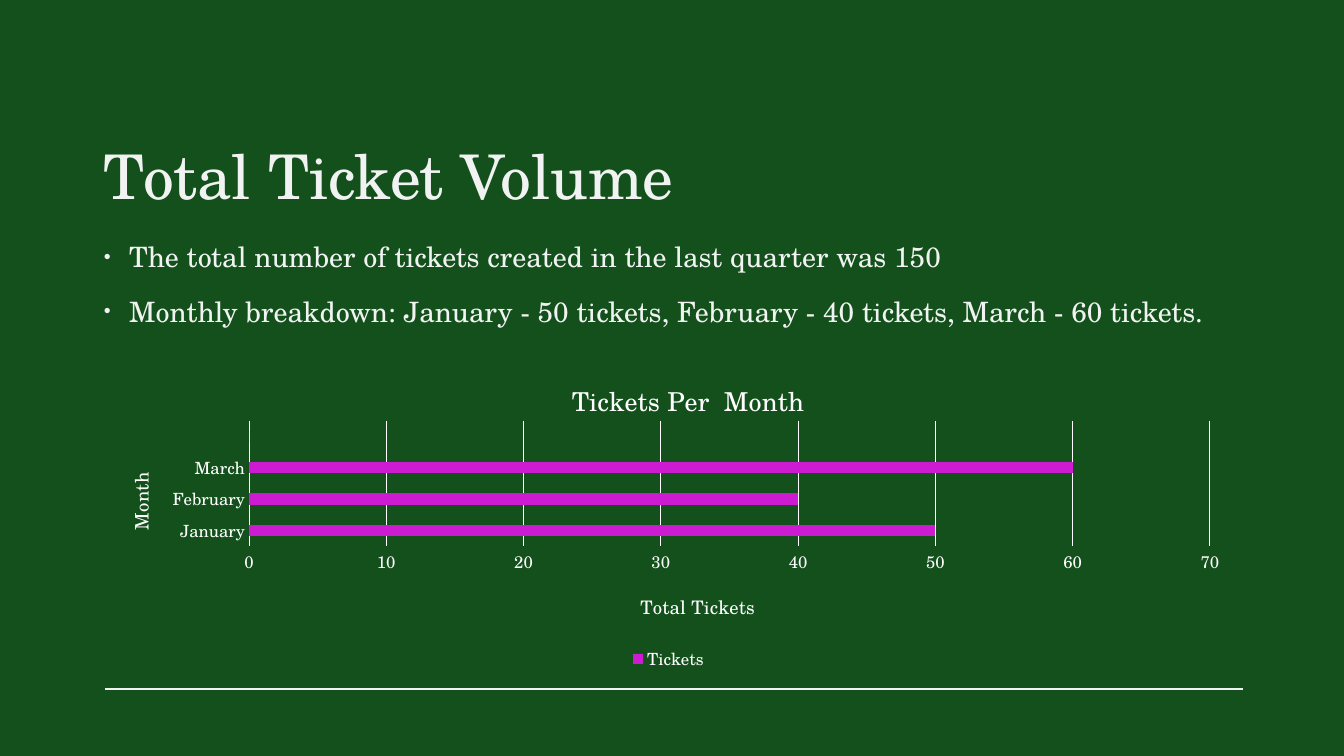
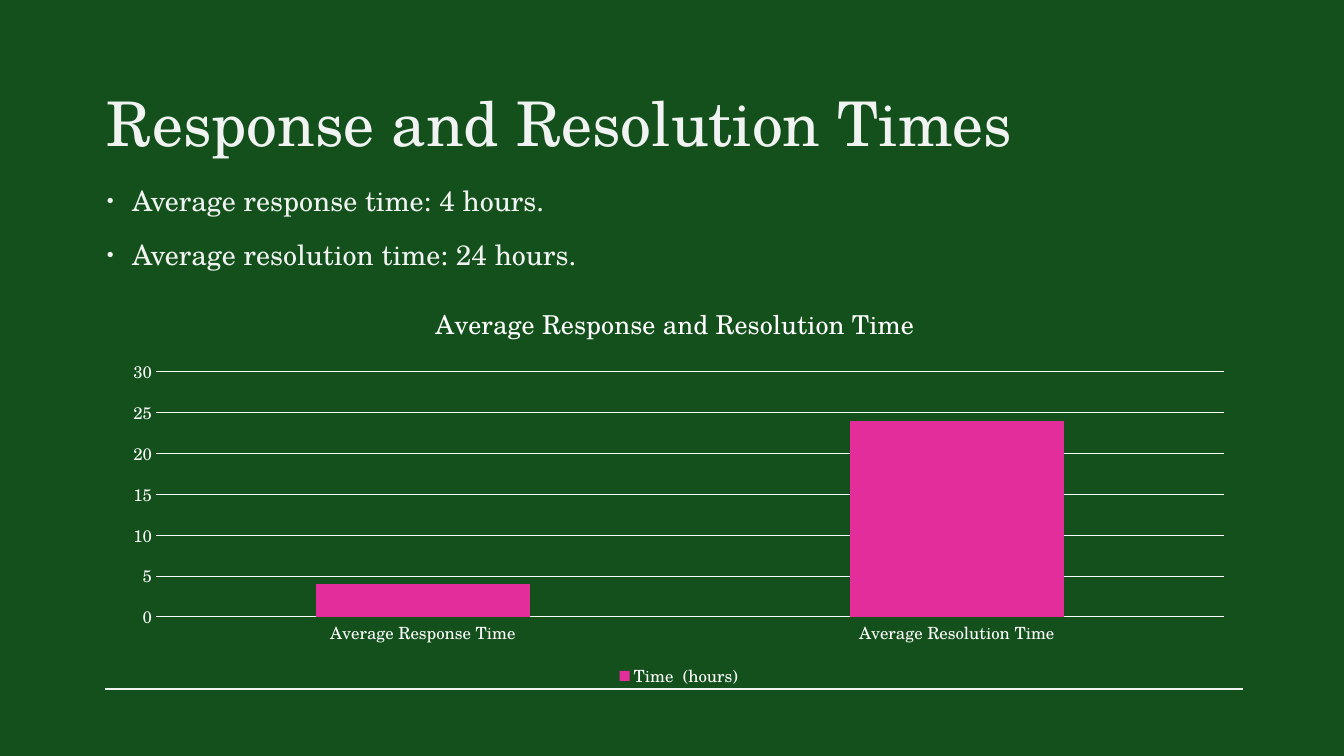
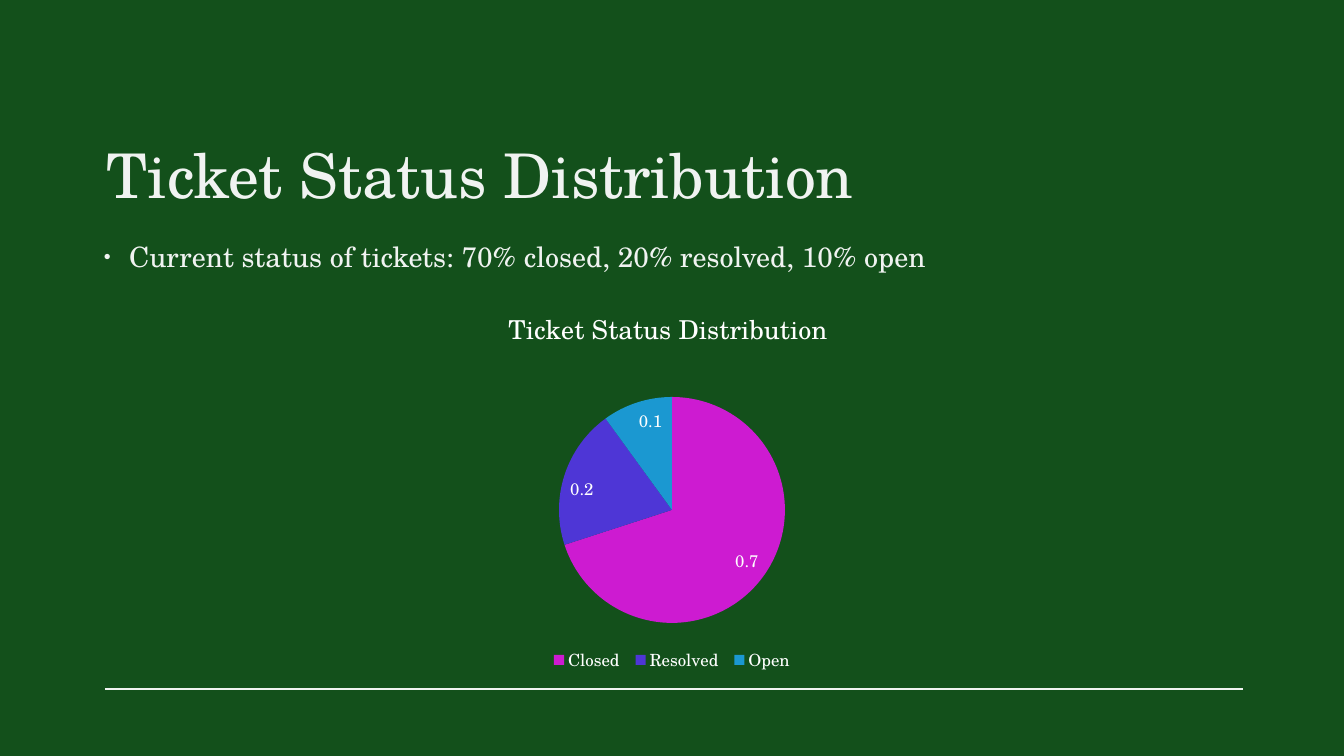
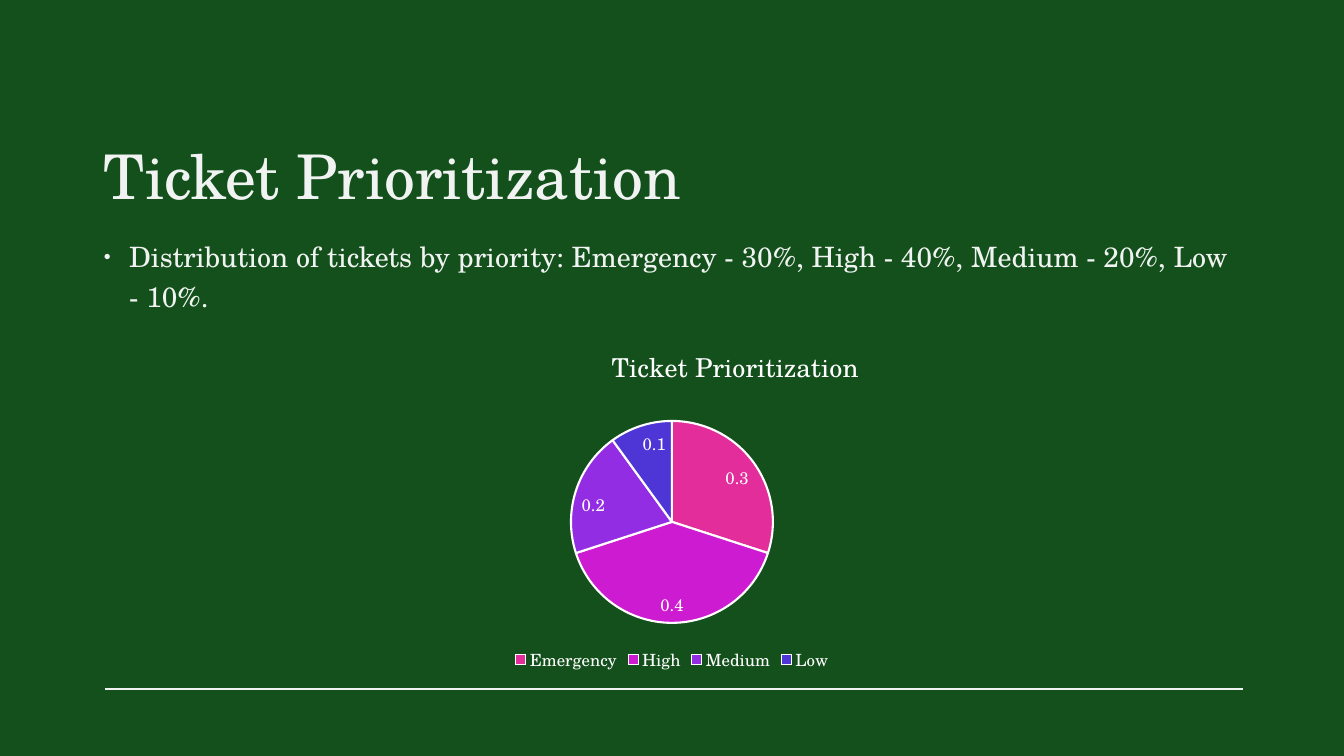
from lxml.etree import SubElement
from pptx import Presentation
from pptx.chart.data import CategoryChartData
from pptx.dml.color import RGBColor
from pptx.enum.chart import XL_CHART_TYPE, XL_LABEL_POSITION, XL_LEGEND_POSITION, XL_TICK_MARK
from pptx.enum.shapes import MSO_CONNECTOR
from pptx.enum.text import MSO_ANCHOR
from pptx.oxml.ns import qn
from pptx.util import Emu, Pt

EMU_PER_PX = 12192000 / 1344
FONT = "TeX Gyre Schola"
COLORS = {
    "green": "13501B",
    "pale": "F0F3F1",
    "white": "FFFFFF",
    "pink": "E32D9B",
    "magenta": "CD1BD1",
    "purple": "932DE3",
    "indigo": "4E36D6",
    "blue": "1B98D1",
}
TITLE_FONT = {"name": FONT, "size": Pt(44), "bold": False}
BODY_FONT = {"name": FONT, "size": Pt(20), "bold": False}
CHART_TITLE_FONT = {"name": FONT, "size": Pt(18.6), "bold": False}
AXIS_TITLE_FONT = {"name": FONT, "size": Pt(13.3), "bold": False}
LABEL_FONT = {"name": FONT, "size": Pt(12), "bold": False}
BULLET_PARAGRAPH = {"line_spacing": 1.2, "space_before": Pt(10)}


def px(length):
    return Emu(round(length * EMU_PER_PX))


def color(name):
    return RGBColor.from_string(COLORS[name])


def set_values(target, values):
    for name, value in values.items():
        setattr(target, name, value)


def style_font(font, values, color_name="white"):
    set_values(font, values)
    font.color.rgb = color(color_name)


def style_line(line, color_name, width):
    line.fill.solid()
    line.fill.fore_color.rgb = color(color_name)
    line.width = Pt(width)


def add_page(deck):
    page = deck.slides.add_slide(deck.slide_layouts[6])
    rule = page.shapes.add_connector(MSO_CONNECTOR.STRAIGHT, px(105), px(689), px(1243), px(689))
    style_line(rule.line, "pale", 0.85)
    SubElement(rule._element.spPr, qn("a:effectLst"))
    return page


def add_text_frame(page, bounds):
    box = page.shapes.add_textbox(*map(px, bounds))
    box.text_frame.word_wrap = True
    return box.text_frame


def add_span(para, text, values):
    span = para.add_run()
    span.text = text
    style_font(span.font, values, "pale")


def add_title(page, text, left, top):
    frame = add_text_frame(page, (left, top, 1149, 120))
    frame.vertical_anchor = MSO_ANCHOR.BOTTOM
    frame.paragraphs[0].line_spacing = 1.0
    add_span(frame.paragraphs[0], text, TITLE_FONT)


def add_bullets(page, texts, left, top, height):
    frame = add_text_frame(page, (left, top, 1149, height))
    for index, text in enumerate(texts):
        para = frame.add_paragraph() if index else frame.paragraphs[0]
        set_values(para, BULLET_PARAGRAPH)
        properties = para._p.get_or_add_pPr()
        properties.set("marL", "228600")
        properties.set("indent", "-228600")
        SubElement(properties, qn("a:buSzPct"), val="70000")
        SubElement(properties, qn("a:buFont"), typeface="Arial")
        SubElement(properties, qn("a:buChar"), char="•")
        add_span(para, text, BODY_FONT)


def place(element, bounds, left, top, size=None):
    layout = element.find(qn("c:layout"))
    if layout is None:
        layout = SubElement(element, qn("c:layout"))
        element.insert(0, layout)
    manual = SubElement(layout, qn("c:manualLayout"))
    chart_left, chart_top, chart_width, chart_height = bounds
    values = {"xMode": "edge", "yMode": "edge"}
    values["x"] = round((left - chart_left) / chart_width, 4)
    values["y"] = round((top - chart_top) / chart_height, 4)
    if size:
        values = {"layoutTarget": "inner", **values}
        values["w"] = round(size[0] / chart_width, 4)
        values["h"] = round(size[1] / chart_height, 4)
    for name, value in values.items():
        SubElement(manual, qn(f"c:{name}"), val=str(value))


def write_title(title, text, values, bounds, corner=None):
    frame = title.text_frame
    frame.text = text
    style_font(frame.paragraphs[0].runs[0].font, values)
    if corner:
        place(title._element, bounds, *corner)


def add_chart(page, kind, bounds, plot_area, title, categories, series, corner=None):
    data = CategoryChartData()
    data.categories = categories
    data.add_series(*series)
    chart = page.shapes.add_chart(kind, *map(px, bounds), data).chart
    style_font(chart.font, AXIS_TITLE_FONT)
    chart.has_title = True
    write_title(chart.chart_title, title, CHART_TITLE_FONT, bounds, corner)
    chart.has_legend = True
    set_values(chart.legend, {"position": XL_LEGEND_POSITION.BOTTOM, "include_in_layout": False})
    style_font(chart.legend.font, LABEL_FONT)
    left, top, width, height = plot_area
    place(chart._chartSpace.chart.plotArea, bounds, left, top, (width, height))
    return chart


def style_bars(chart, fill_name, gap, overlap, maximum, step):
    plot = chart.plots[0]
    set_values(plot, {"gap_width": gap, "overlap": overlap, "vary_by_categories": False})
    fill = plot.series[0].format.fill
    fill.solid()
    fill.fore_color.rgb = color(fill_name)
    for axis in (chart.category_axis, chart.value_axis):
        set_values(axis, {"major_tick_mark": XL_TICK_MARK.NONE, "minor_tick_mark": XL_TICK_MARK.NONE})
        style_font(axis.tick_labels.font, LABEL_FONT)
    style_line(chart.category_axis.format.line, "white", 0.75)
    scale = {"minimum_scale": 0, "maximum_scale": maximum, "major_unit": step, "has_major_gridlines": True}
    set_values(chart.value_axis, scale)
    chart.value_axis.format.line.fill.background()
    style_line(chart.value_axis.major_gridlines.format.line, "white", 0.75)


def style_pie(chart, fill_names, outlined):
    plot = chart.plots[0]
    plot.vary_by_categories = True
    for index, name in enumerate(fill_names):
        slice_format = plot.series[0].points[index].format
        slice_format.fill.solid()
        slice_format.fill.fore_color.rgb = color(name)
        if outlined:
            style_line(slice_format.line, "white", 1.5)
        else:
            slice_format.line.fill.background()
    plot.has_data_labels = True
    set_values(plot.data_labels, {"show_value": True, "position": XL_LABEL_POSITION.INSIDE_END})
    style_font(plot.data_labels.font, LABEL_FONT)


def build_volume(deck):
    page = add_page(deck)
    add_title(page, "Total Ticket Volume", 94, 97)
    add_bullets(page, (
        "The total number of tickets created in the last quarter was 150",
        "Monthly breakdown: January - 50 tickets, February - 40 tickets, March - 60 tickets.",
    ), 94, 228, 411)
    bounds = (94, 349, 1149, 326)
    chart = add_chart(
        page, XL_CHART_TYPE.BAR_CLUSTERED, bounds, (249, 421, 961, 125), "Tickets Per  Month ",
        ("January", "February", "March", ""), ("Tickets", (50, 40, 60, 0)), (567, 374))
    style_bars(chart, "magenta", 182, 0, 70, 10)
    write_title(chart.category_axis.axis_title, "Month", AXIS_TITLE_FONT, bounds, (122, 469))
    write_title(chart.value_axis.axis_title, "Total Tickets ", AXIS_TITLE_FONT, bounds, (637, 588))


def build_times(deck):
    page = add_page(deck)
    add_title(page, "Response and Resolution Times", 97, 44)
    add_bullets(page, ("Average response time: 4 hours.", "Average resolution time: 24 hours."), 97, 172, 120)
    chart = add_chart(
        page, XL_CHART_TYPE.COLUMN_STACKED, (111, 284, 1136, 408), (156, 372, 1068, 245),
        "Average Response and Resolution Time ",
        ("Average Response Time", "Average Resolution Time"), ("Time  (hours)", (4, 24)))
    style_bars(chart, "pink", 150, 100, 30, 5)


def build_status(deck):
    page = add_page(deck)
    add_title(page, "Ticket Status Distribution", 97, 96)
    add_bullets(page, ("Current status of tickets: 70% closed, 20% resolved, 10% open",), 94, 228, 101)
    chart = add_chart(
        page, XL_CHART_TYPE.PIE, (224, 289, 896, 387), (559, 397, 226, 226), "Ticket Status Distribution ",
        ("Closed ", "Resolved ", "Open"), ("Series 1", (0.7, 0.2, 0.1)))
    style_pie(chart, ("magenta", "indigo", "blue"), False)


def build_priority(deck):
    page = add_page(deck)
    add_title(page, "Ticket Prioritization", 94, 97)
    add_bullets(page, (
        "Distribution of tickets by priority: Emergency - 30%, High - 40%, Medium - 20%, Low - 10%.",
    ), 94, 228, 101)
    chart = add_chart(
        page, XL_CHART_TYPE.PIE, (224, 313, 896, 363), (571, 421, 202, 202), "Ticket Prioritization",
        ("Emergency", "High", "Medium", "Low"), ("Series 1", (0.3, 0.4, 0.2, 0.1)), (607, 340))
    style_pie(chart, ("pink", "magenta", "purple", "indigo"), True)


def main():
    deck = Presentation()
    set_values(deck, {"slide_width": px(1344), "slide_height": px(756)})
    background = deck.slide_master.background.fill
    background.solid()
    background.fore_color.rgb = color("green")
    for build in (build_volume, build_times, build_status, build_priority):
        build(deck)
    deck.save("out.pptx")


if __name__ == "__main__":
    main()
